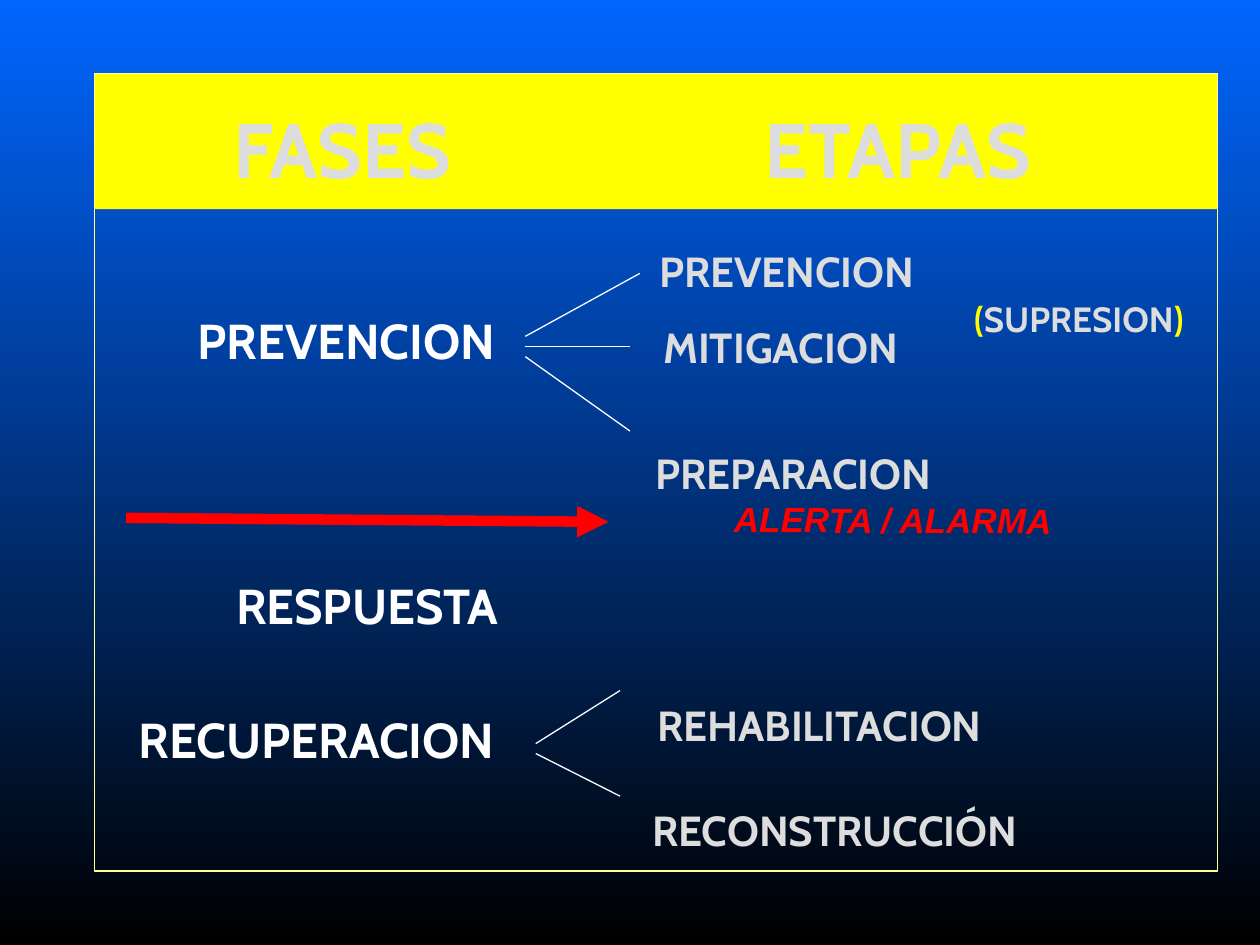
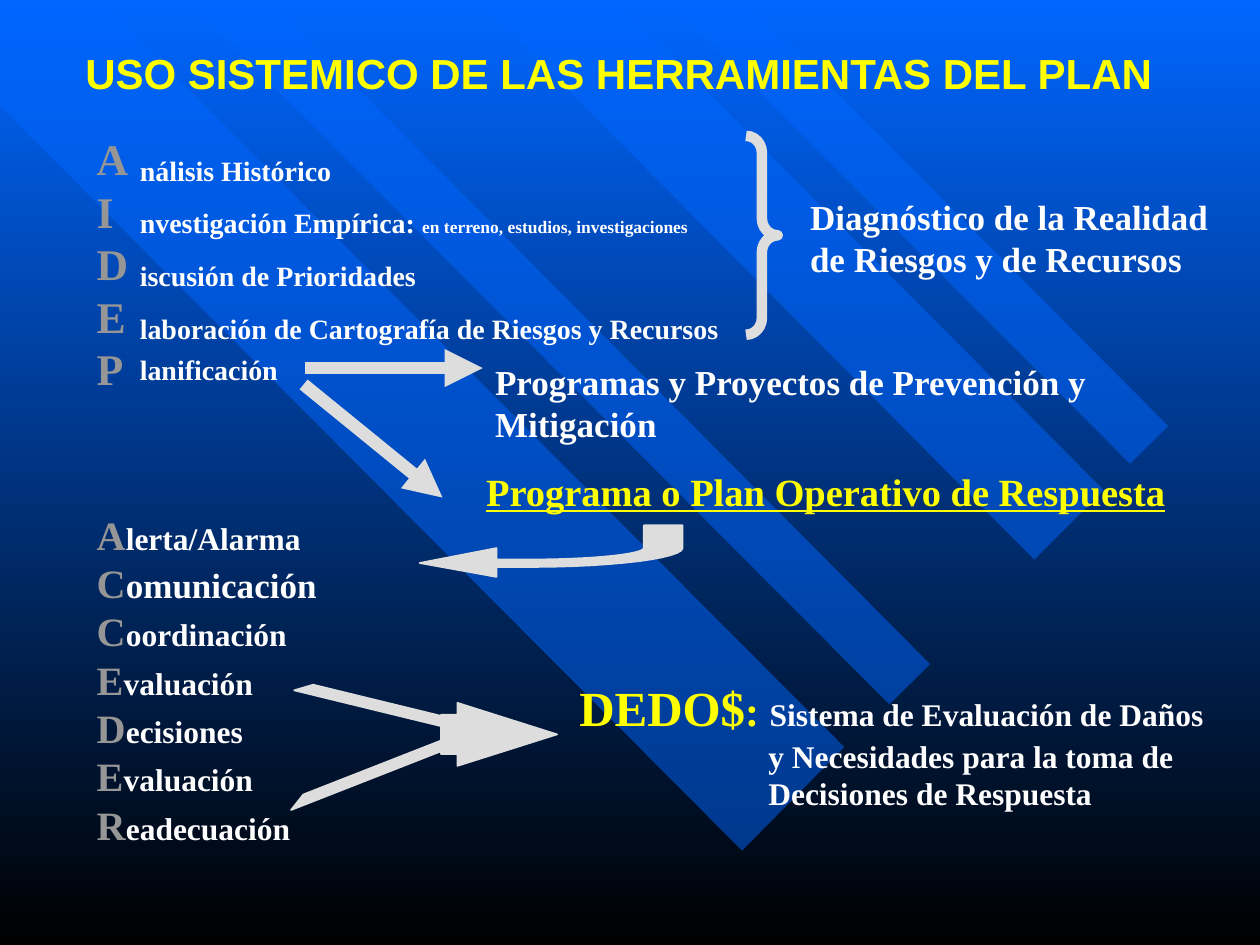
from lxml import etree
from pptx import Presentation
from pptx.dml.color import RGBColor
from pptx.enum import shapes, text
from pptx.oxml.ns import qn
from pptx.util import Cm, Pt

BLUE = RGBColor(0x00, 0x66, 0xFF)
BLACK = RGBColor(0x00, 0x00, 0x00)
WHITE = RGBColor(0xFF, 0xFF, 0xFF)
YELLOW = RGBColor(0xFF, 0xFF, 0x00)
CREAM = RGBColor(0xFF, 0xFF, 0x99)
SILVER = RGBColor(0xDD, 0xDD, 0xDD)
GRAY = RGBColor(0x96, 0x96, 0x96)
RED = RGBColor(0xFF, 0x00, 0x00)
SERIF, SANS, LABEL = "Times New Roman", "Arial", "Cabin"
LEFT, CENTER = text.PP_ALIGN.LEFT, text.PP_ALIGN.CENTER
SHAPE = shapes.MSO_SHAPE


def new_slide(prs):
    s = prs.slides.add_slide(prs.slide_layouts[6])
    fill = s.background.fill
    fill.gradient()
    fill.gradient_angle = 270
    for stop, color, position in zip(fill.gradient_stops, (BLUE, BLACK), (0, 1)):
        stop.color.rgb = color
        stop.position = position
    return s


def add_text(s, x, y, w, h, content, size=20, font=SERIF, color=WHITE, align=LEFT,
             anchor=text.MSO_ANCHOR.TOP, italic=False, underline=False, rotation=0, hanging=0):
    sp = s.shapes.add_textbox(Cm(x), Cm(y), Cm(w), Cm(h))
    sp.rotation = rotation
    tf = sp.text_frame
    tf.word_wrap = True
    tf.vertical_anchor = anchor
    lines = [content] if isinstance(content, str) else content
    for i, line in enumerate(lines):
        p = tf.paragraphs[0] if i == 0 else tf.add_paragraph()
        p.alignment = align
        if i and hanging:
            p._p.get_or_add_pPr().set("marL", str(Cm(hanging)))
        for part in [(line, size, color)] if isinstance(line, str) else line:
            r = p.add_run()
            r.text, points, r.font.color.rgb = part
            r.font.size = Pt(points)
            r.font.name = font
            r.font.bold = True
            r.font.italic = italic
            r.font.underline = underline
    return sp


def paint(sp, fill=None, line=None, width=1, alpha=None):
    sp.shadow.inherit = False
    if fill is None:
        sp.fill.background()
    else:
        sp.fill.solid()
        sp.fill.fore_color.rgb = fill
    if alpha is not None:
        color = sp.fill._xPr.find(qn("a:solidFill"))[0]
        etree.SubElement(color, qn("a:alpha")).set("val", str(alpha * 1000))
    if line is None:
        sp.line.fill.background()
    else:
        sp.line.color.rgb = line
        sp.line.width = Pt(width)


def add_preset(s, kind, x, y, w, h, adjust=(), rotation=0, **style):
    sp = s.shapes.add_shape(kind, Cm(x), Cm(y), Cm(w), Cm(h))
    for i, value in enumerate(adjust):
        sp.adjustments[i] = value
    sp.rotation = rotation
    paint(sp, **style)


def add_outline(s, x, y, points, **style):
    dots = [(Cm(x + px), Cm(y + py)) for px, py in points]
    builder = s.shapes.build_freeform(*dots[0])
    builder.add_line_segments(dots[1:], close=True)
    paint(builder.convert_to_shape(), **style)


def add_line(s, x1, y1, x2, y2, color=WHITE, width=0.75, arrow=False):
    cn = s.shapes.add_connector(shapes.MSO_CONNECTOR.STRAIGHT, Cm(x1), Cm(y1), Cm(x2), Cm(y2))
    cn.line.color.rgb = color
    cn.line.width = Pt(width)
    if arrow:
        etree.SubElement(cn.line._get_or_add_ln(), qn("a:tailEnd")).set("type", "triangle")
    etree.SubElement(cn._element.spPr, qn("a:effectLst"))


def curve(a, b, c, d, steps=12):
    for t in (i / steps for i in range(1, steps + 1)):
        weights = ((1 - t) ** 3, 3 * t * (1 - t) ** 2, 3 * t * t * (1 - t), t ** 3)
        yield tuple(sum(k * q[axis] for k, q in zip(weights, (a, b, c, d))) for axis in (0, 1))


def phase_header(s, x, y, w, h, split):
    add_preset(s, SHAPE.RECTANGLE, x, y, split, h, fill=YELLOW)
    add_preset(s, SHAPE.RECTANGLE, x + split, y, w - split, h, fill=YELLOW)
    for dx, width, title in ((2.5, 5, "FASES"), (13.08, 6.25, "ETAPAS")):
        add_text(s, x + dx, y + 0.43, width, 2.13, title, size=44, font=LABEL, color=SILVER,
                 align=CENTER, anchor=text.MSO_ANCHOR.BOTTOM)


def branches(s, x, y, ends):
    for start, dx, dy in ends:
        add_line(s, x, y + start, x + dx, y + dy)


def phase_panel(s, x, y, w, h):
    phase_header(s, x, y, w, 2.74, 10.16)
    label = dict(font=LABEL, align=CENTER, anchor=text.MSO_ANCHOR.BOTTOM)
    for dx, dy, width, name in ((1.63, 4.64, 6.91, "PREVENCION"),
                                (2.52, 9.98, 5.97, "RESPUESTA"),
                                (0.39, 12.69, 8.18, "RECUPERACION")):
        add_text(s, x + dx, y + dy, width, 1.45, name, size=28, **label)
    for dx, dy, width, name in ((10.95, 3.35, 6.02, "PREVENCION"),
                                (10.9, 4.87, 5.87, "MITIGACION"),
                                (10.16, 7.41, 7.87, "PREPARACION"),
                                (9.96, 12.49, 9.32, "REHABILITACION"),
                                (10.16, 14.6, 9.53, "RECONSTRUCCIÓN")):
        add_text(s, x + dx, y + dy, width, 1.27, name, size=24, color=SILVER, **label)
    add_text(s, x + 17.35, y + 4.39, 5, 1.09,
             [[("(", 20, YELLOW), ("SUPRESION", 20, SILVER), (")", 20, YELLOW)]], **label)
    add_line(s, x + 0.64, y + 8.96, x + 10.37, y + 9.04, RED, 6, arrow=True)
    add_text(s, x + 10.8, y + 8.45, 10.59, 1.09, "ALERTA / ALARMA", font=SANS, color=RED,
             align=CENTER, anchor=text.MSO_ANCHOR.BOTTOM, italic=True, rotation=0.3)
    branches(s, x + 8.69, y + 5.3, ((0, 2.31, -1.27), (0.21, 2.11, 0.21), (0.41, 2.11, 1.91)))
    branches(s, x + 8.9, y + 13.51, ((0, 1.7, -1.07), (0.2, 1.7, 1.06)))
    add_preset(s, SHAPE.RECTANGLE, x, y, w, h, line=CREAM, width=0.75)


def streaks(s, x, y):
    for points in (((17.02, 15.06), (2.01, 0), (0, 0), (0, 2.13), (14.96, 17.15)),
                   ((5.44, 0), (18.75, 13.39), (17.93, 14.2), (3.78, 0)),
                   ((12.42, 0), (22.25, 9.88), (20.85, 11.28), (9.65, 0)),
                   ((13.46, 0), (22.78, 9.35), (23.55, 8.59), (15.01, 0))):
        add_outline(s, x, y, points, fill=BLUE, alpha=50)


def diagnosis(s, x, y):
    add_text(s, x, y, 1.3, 5.56, list("AIDEP"), size=25, color=GRAY)
    for dy, width, item in (
            (0.43, 4.5, "nálisis Histórico"),
            (1.47, 11.8, [[("nvestigación Empírica: ", 16, WHITE),
                           ("en terreno, estudios, investigaciones", 10, WHITE)]]),
            (2.54, 6.3, "iscusión de Prioridades"),
            (3.61, 12.4, "laboración de Cartografía de Riesgos y Recursos"),
            (4.45, 3.5, "lanificación")):
        add_text(s, x + 0.87, y + dy, width, 0.94, item, size=16)
    add_preset(s, SHAPE.RIGHT_BRACE, x + 13.34, y + 0.2, 0.64, 4.01, (0.53, 0.5),
               line=SILVER, width=6)
    add_text(s, x + 14.38, y + 1.27, 8.69, 1.96,
             ["Diagnóstico de la Realidad", "de Riesgos y de Recursos"])


def programs(s, x, y):
    for x1, y1, x2, y2 in ((0.15, 0.42, 3.73, 0.42), (0.12, 0.75, 2.92, 3.03)):
        add_line(s, x + x1, y + y1, x + x2, y + y2, SILVER, 7.25, arrow=True)
    add_text(s, x + 3.73, y + 0.14, 12.6, 1.96,
             ["Programas y Proyectos de Prevención y", "Mitigación"])
    add_text(s, x + 3.55, y + 2.32, 14.35, 1.19, "Programa o Plan Operativo de Respuesta",
             size=22, color=YELLOW, underline=True)


def curved_arrow(s, x, y):
    points = [(5.3, 0), (5.3, 0.46),
              *curve((5.3, 0.46), (5.3, 0.66), (3.93, 0.84), (2.26, 0.84)),
              (1.55, 0.84), (1.55, 1.04), (0, 0.76), (1.55, 0.46), (1.55, 0.69), (2.26, 0.69),
              *curve((2.26, 0.69), (3.51, 0.69), (4.52, 0.58), (4.52, 0.46)), (4.52, 0)]
    add_outline(s, x, y, points, fill=SILVER, line=SILVER)


def merging_arrow(s, x, y):
    style = dict(fill=SILVER, line=SILVER)
    for dx, dy, rotation in ((0, 1.27, 158.6), (0.2, 0, 193.7)):
        add_preset(s, SHAPE.PARALLELOGRAM, x + dx, y + dy, 3.81, 0.2, (1.72,), rotation, **style)
    add_preset(s, SHAPE.RIGHT_ARROW, x + 3.19, y, 2.34, 1.27, (0.625, 1.58), **style)


def response(s, x, y):
    steps = (("Alerta/Alarma", 18), ("Comunicación", 20), ("Coordinación", 18),
             ("Evaluación", 18), ("Decisiones", 18), ("Evaluación", 18), ("Readecuación", 18))
    add_text(s, x, y, 5.1, 7.06,
             [[(word[0], 23, GRAY), (word[1:], size, WHITE)] for word, size in steps])
    curved_arrow(s, x + 6.76, y + 0.43)
    merging_arrow(s, x + 4, y + 4.01)
    add_text(s, x + 9.73, y + 3.38, 13.5, 2.97,
             [[("DEDO$", 28, YELLOW), (": ", 24, YELLOW),
               ("Sistema de Evaluación de Daños", 18, WHITE)],
              "y Necesidades para la toma de", "Decisiones de Respuesta"], size=18, hanging=3.81)


def main():
    prs = Presentation()
    prs.slide_width, prs.slide_height = Cm(25.4), Cm(19.05)
    phase_panel(new_slide(prs), 1.9, 1.48, 22.65, 16.08)
    s = new_slide(prs)
    streaks(s, 0, 0)
    add_text(s, 1.47, 0.84, 22.2, 1.27, "USO SISTEMICO DE LAS HERRAMIENTAS DEL PLAN",
             size=24, font=SANS, color=YELLOW)
    diagnosis(s, 1.7, 2.54)
    programs(s, 6, 7)
    response(s, 1.7, 10.16)
    prs.save("out.pptx")


main()
